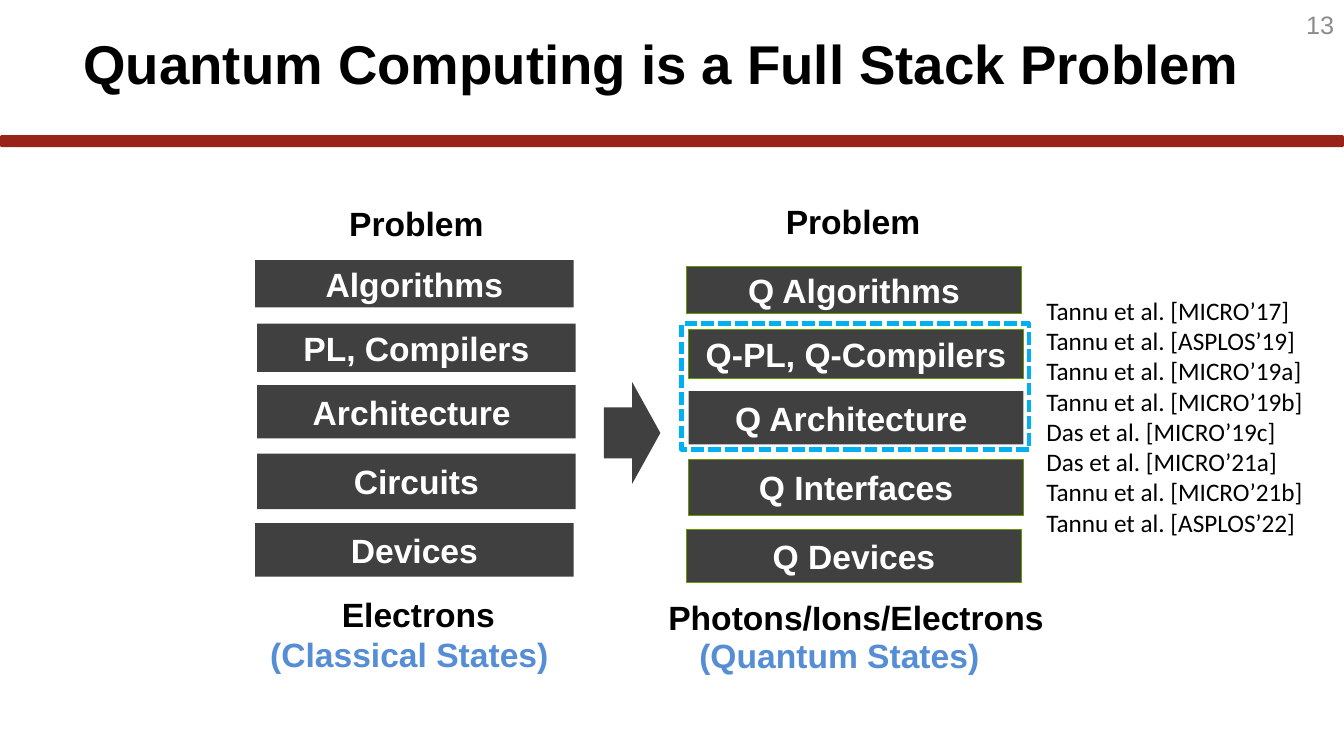
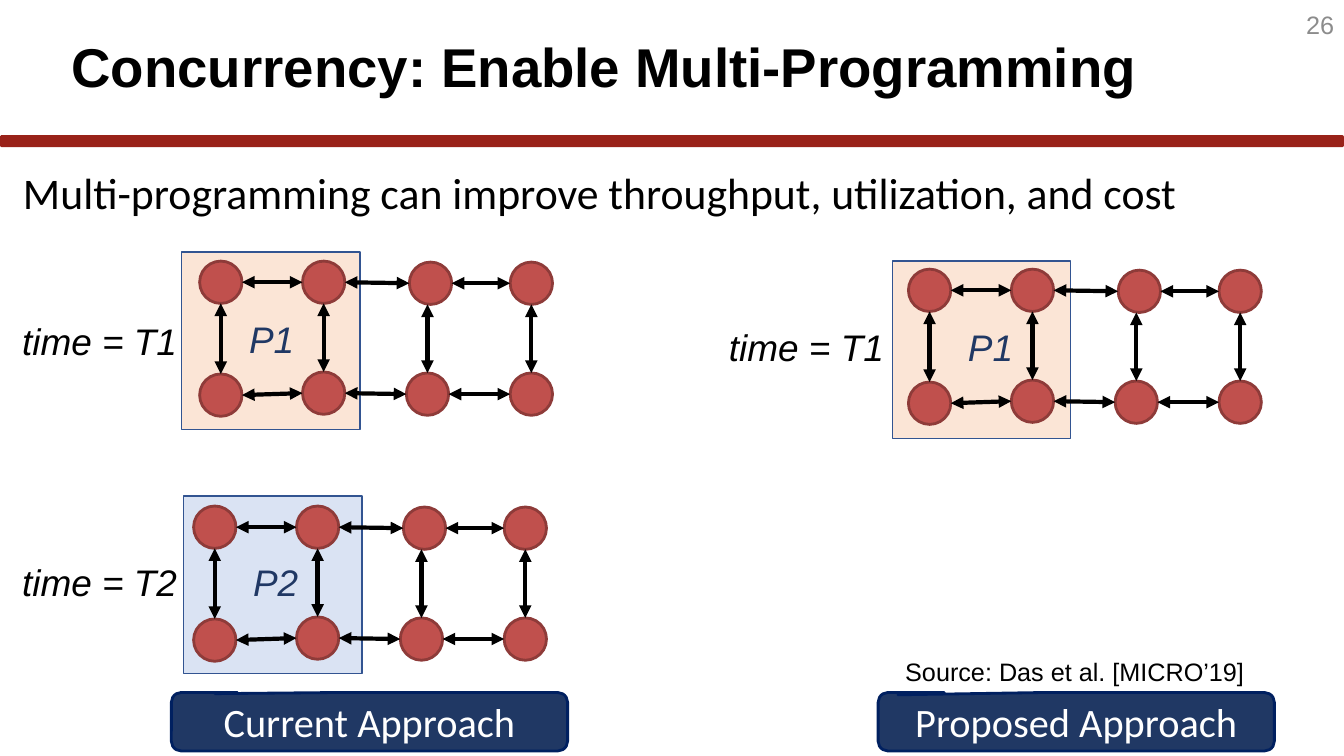
import lxml.etree
import pptx
import pptx.dml.color
import pptx.enum.dml
import pptx.enum.shapes
import pptx.enum.text
import pptx.oxml.ns
import pptx.util

Inches = pptx.util.Inches
Pt = pptx.util.Pt
qn = pptx.oxml.ns.qn
KIND = pptx.enum.shapes.MSO_SHAPE
ALIGN = pptx.enum.text.PP_ALIGN
ANCHOR = pptx.enum.text.MSO_ANCHOR


class Theme:
    head = "Arial"
    body = "Calibri"
    black = "000000"
    white = "FFFFFF"
    bar = "992219"
    gray = "8C8C8C"
    block = "404040"
    green = "669900"
    state = "558ED5"
    focus = "00B0F0"
    navy = "203864"
    rim = "002060"
    frame = "325491"
    peach = "FBE5D6"
    sky = "DAE3F3"
    node = "C0504D"
    ring = "8E3B39"
    small = 18
    stack = 24
    time = 26.4
    tag = 28.8
    lead = 31.2
    title = 39


def draw(page, kind, at, fill=None, line=None, width=1):
    item = page.shapes.add_shape(kind, *[Inches(n) for n in at])
    item.shadow.inherit = False
    if fill:
        item.fill.solid()
        item.fill.fore_color.rgb = pptx.dml.color.RGBColor.from_string(fill)
    else:
        item.fill.background()
    if line:
        item.line.color.rgb = pptx.dml.color.RGBColor.from_string(line)
        item.line.width = Pt(width)
    else:
        item.line.fill.background()
    return item


def write(text, page=None, at=None, item=None, font=Theme.head, size=Theme.small,
          color=Theme.black, bold=False, ital=False, align=ALIGN.LEFT,
          anchor=ANCHOR.TOP, pad=(0.1, 0.05, 0.1, 0.05), space=None):
    item = item or page.shapes.add_textbox(*[Inches(n) for n in at])
    frame = item.text_frame
    frame.word_wrap = True
    frame.vertical_anchor = anchor
    frame.margin_left, frame.margin_top, frame.margin_right, frame.margin_bottom = [
        Inches(n) for n in pad]
    frame.text = text
    for para in frame.paragraphs:
        para.alignment = align
        para.line_spacing = space
        para.font.name = font
        para.font.size = Pt(size)
        para.font.bold = bold
        para.font.italic = ital
        para.font.color.rgb = pptx.dml.color.RGBColor.from_string(color)


deck = pptx.Presentation()
deck.slide_width = Inches(13.33)
deck.slide_height = Inches(7.5)

pages = []
for title, at, number in [
    ("Quantum Computing is a Full Stack Problem", (0.73, 0.04, 11.95, 1.25), "13"),
    ("Concurrency: Enable Multi-Programming", (0.61, 0.07, 12.28, 1.25), "26"),
]:
    page = deck.slides.add_slide(deck.slide_layouts[6])
    draw(page, KIND.ROUNDED_RECTANGLE, (0, 1.34, 13.33, 0.12), Theme.bar)
    write(title, page, at, size=Theme.title, bold=True, anchor=ANCHOR.MIDDLE, space=0.9)
    write(number, page, (12.8, 0, 0.53, 0.48), color=Theme.gray,
          align=ALIGN.RIGHT, anchor=ANCHOR.MIDDLE)
    pages.append(page)
stack, multi = pages

label = dict(size=Theme.stack, bold=True, align=ALIGN.CENTER, anchor=ANCHOR.MIDDLE)
for text, at, color in [
    ("Problem", (2.55, 1.95, 3.16, 0.52), Theme.black),
    ("Electrons", (2.57, 5.83, 3.16, 0.52), Theme.black),
    ("(Classical States)", (2.48, 6.23, 3.16, 0.52), Theme.state),
    ("Problem", (5.99, 1.93, 4.94, 0.53), Theme.black),
    ("Photons/Ions/Electrons", (6.48, 5.86, 4.02, 0.53), Theme.black),
    ("(Quantum States)", (6.44, 6.23, 3.77, 0.53), Theme.state),
]:
    write(text, stack, at, color=color, **label)

for left, right, top, high, shift, line in [
    ("Algorithms", "Q Algorithms", 2.58, 0.47, 0, Theme.green),
    ("PL, Compilers", "Q-PL, Q-Compilers", 3.21, 0.48, 0.02, Theme.green),
    ("Architecture ", "Q Architecture ", 3.82, 0.53, 0.02, None),
    ("Circuits", "Q Interfaces", 4.5, 0.55, 0.02, Theme.green),
    ("Devices", "Q Devices", 5.19, 0.53, 0, Theme.green),
]:
    for text, x, y, wide, edge in [
        (left, 2.53, top, 3.16, None),
        (right, 6.81, top + 0.06, 3.32, line),
    ]:
        block = draw(stack, KIND.RECTANGLE, (x + shift, y, wide, high),
                     Theme.block, edge, 0.5)
        write(text, item=block, color=Theme.white, **label)

draw(stack, KIND.RIGHT_ARROW, (5.99, 3.79, 0.56, 1.01), Theme.block)
focus = draw(stack, KIND.RECTANGLE, (6.76, 3.21, 3.45, 1.25), line=Theme.focus, width=3)
focus.line.dash_style = pptx.enum.dml.MSO_LINE.SQUARE_DOT

papers = [
    "Tannu et al. [MICRO’17]",
    "Tannu et al. [ASPLOS’19]",
    "Tannu et al. [MICRO’19a]",
    "Tannu et al. [MICRO’19b]",
    "Das et al. [MICRO’19c]",
    "Das et al. [MICRO’21a]",
    "Tannu et al. [MICRO’21b]",
    "Tannu et al. [ASPLOS’22]",
]
write("\n".join(papers), stack, (10.28, 2.88, 2.77, 2.83), font=Theme.body)

write("Multi-programming can improve throughput, utilization, and cost",
      multi, (0.13, 1.6, 13.06, 0.63), font=Theme.body, size=Theme.lead)

upper = [(0, 0), (1.02, 0), (2.08, 0.01), (3.08, 0.01)]
lower = [(0, 1.12), (1.02, 1.1), (2.05, 1.11), (3.08, 1.11)]
dot = 0.42
half = dot / 2
links = []
for row in (upper, lower):
    for (ax, ay), (bx, by) in zip(row, row[1:]):
        links.append((ax + dot, ay + half, bx, by + half))
for (ax, ay), (bx, by) in zip(upper, lower):
    links.append((bx + half, by, bx + half, ay + dot))

note = dict(size=Theme.time, ital=True, pad=(0.24, 0.19, 0, 0.19), space=0.9)
for x, y, fill, dx, dy, time, tat, name, nat in [
    (1.8, 2.5, Theme.peach, 0.18, 0.09, "time = T1", (-0.02, 3.02), "P1", (2.23, 3)),
    (1.82, 4.92, Theme.sky, 0.1, 0.1, "time = T2", (-0.02, 5.41), "P2", (2.27, 5.41)),
    (8.85, 2.59, Theme.peach, 0.16, 0.08, "time = T1", (6.99, 3.08), "P1", (9.36, 3.08)),
]:
    draw(multi, KIND.RECTANGLE, (x, y, 1.77, 1.76), fill, Theme.frame)
    left, top = x + dx, y + dy
    for nx, ny in upper + lower:
        draw(multi, KIND.OVAL, (left + nx, top + ny, dot, dot),
             Theme.node, Theme.ring, 2)
    for ax, ay, bx, by in links:
        link = multi.shapes.add_connector(
            pptx.enum.shapes.MSO_CONNECTOR.STRAIGHT,
            Inches(left + ax), Inches(top + ay), Inches(left + bx), Inches(top + by))
        link.line.color.rgb = pptx.dml.color.RGBColor.from_string(Theme.black)
        link.line.width = Pt(3)
        props = link.element.spPr
        for end in ("a:headEnd", "a:tailEnd"):
            lxml.etree.SubElement(props.find(qn("a:ln")), qn(end), type="triangle")
        lxml.etree.SubElement(props, qn("a:effectLst"))
    write(time, multi, (*tat, 2.04, 0.79), **note)
    write(name, multi, (*nat, 0.94, 0.79), color=Theme.navy, **note)

for text, x, tip in [
    ("Current Approach", 1.7, (-0.39, -0.48)),
    ("Proposed Approach", 8.71, (-0.45, -0.46)),
]:
    tag = draw(multi, KIND.ROUNDED_RECTANGULAR_CALLOUT, (x, 6.87, 3.93, 0.58),
               Theme.navy, Theme.rim, 2)
    tag.adjustments[0], tag.adjustments[1] = tip
    write(text, item=tag, font=Theme.body, size=Theme.tag, color=Theme.white,
          align=ALIGN.CENTER, anchor=ANCHOR.MIDDLE, pad=(0.12, 0.06, 0.12, 0.06))

write("Source: Das et al. [MICRO’19]", multi, (8.88, 6.46, 3.6, 0.4))

deck.save("out.pptx")
